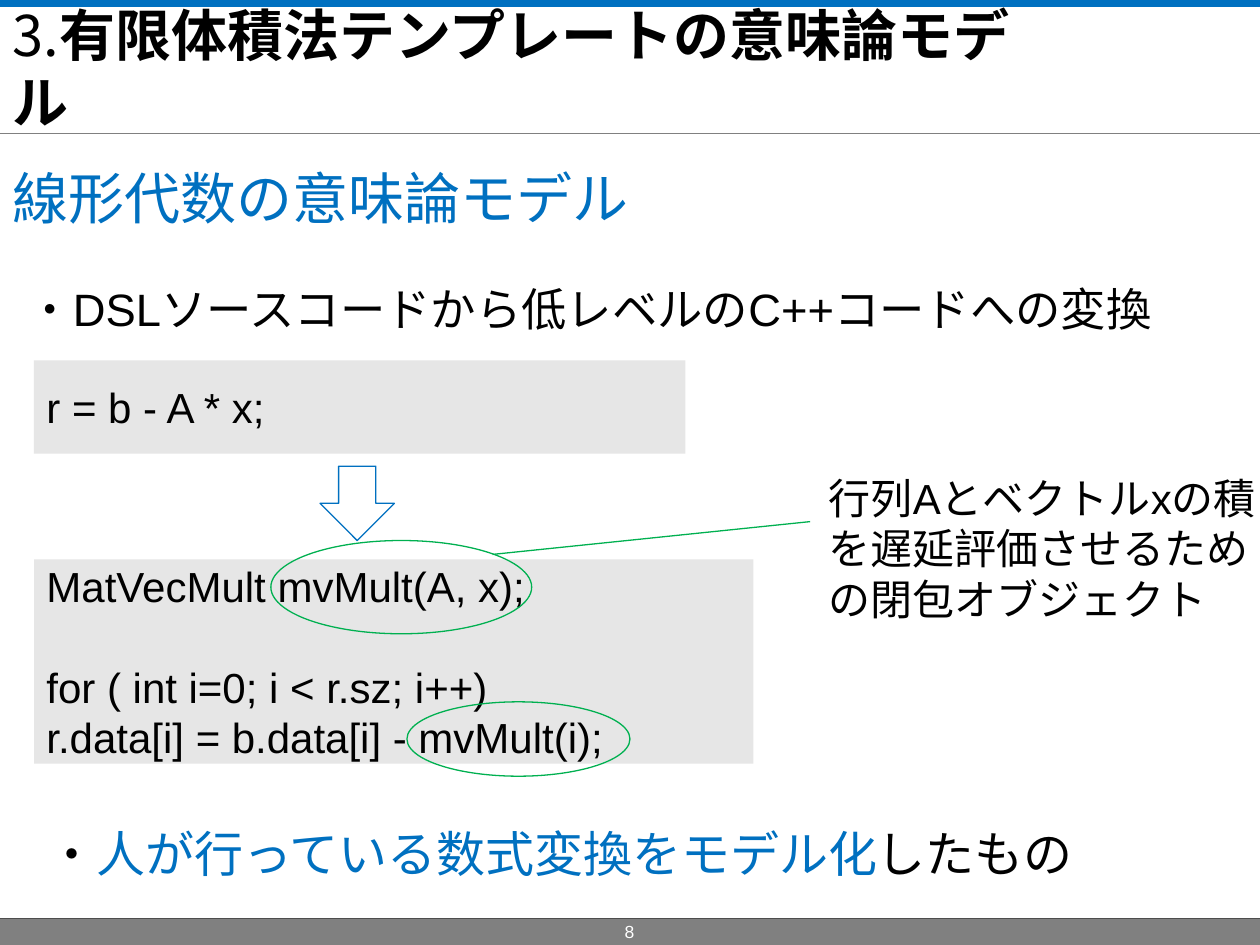
from lxml import etree
from pptx import Presentation, util as u
from pptx.dml.color import RGBColor
from pptx.enum import shapes, text
from pptx.oxml.ns import qn

COLORS = {
    "black": "000000", "white": "FFFFFF", "blue": "0070C0", "green": "00B050",
    "code": "E6E6E6", "footer": "808080", "edge": "4D4D4D", "shadow": "C0C0C0",
}
LATIN, JAPANESE = "Arial", "Noto Sans CJK JP"

BARS = [
    ((0, 7.29, 10, 0.21), "footer", None, 0),
    ((0, 0.01, 10, 0.03), "blue", "blue", 2),
]
RULES = [
    ((0, 7.29, 10, 7.29), "edge", 0.5),
    ((0, 1.06, 10, 1.06), "footer", 0.5),
]
TITLE = ((0, 0, 8.39, 1.07), "3.", "有限体積法テンプレートの意味論モデル")
TEXTS = [
    ((0.12, 2.18, 9.76, 0.65), 25.9, 7,
     [("・DSLソースコードから低レベルのC++コードへの変換", "black")]),
    ((0, 1.25, 9.76, 0.72), 32, 8, [("線形代数の意味論モデル", "blue")]),
    ((6.48, 3.7, 3.59, 1.3), 24, 0,
     [("行列Aとベクトルxの積を遅延評価させるための閉包オブジェクト", "black")]),
    ((0.28, 6.49, 9.76, 0.65), 28, 7,
     [("・", "black"), ("人が行っている数式変換をモデル化", "blue"), ("したもの", "black")]),
]
PAGE_NUMBER = ((4.6, 7.26, 0.79, 0.42), "8")
CODE = [
    ((0.27, 2.86, 5.17, 0.74), ["r = b - A * x;"]),
    ((0.27, 4.44, 5.71, 1.62), [
        "MatVecMult mvMult(A, x);",
        "",
        "for ( int i=0; i < r.sz; i++)",
        "r.data[i] = b.data[i] - mvMult(i);",
    ]),
]
ARROW = (2.54, 3.7, 0.59, 0.59)
RINGS = [(2.15, 4.29, 2.07, 0.74), (3.23, 5.57, 1.77, 0.59)]
CALLOUT = ((3.91, 4.4, 6.43, 4.14), "green", 0.75)


def rgb(name):
    return RGBColor.from_string(COLORS[name])


def add_shape(page, kind, place, fill=None, line=None, width=0.75):
    shape = page.shapes.add_shape(kind, *map(u.Inches, place))
    shape.shadow.inherit = False
    if fill:
        shape.fill.solid()
        shape.fill.fore_color.rgb = rgb(fill)
    else:
        shape.fill.background()
    if line:
        shape.line.color.rgb = rgb(line)
        shape.line.width = u.Pt(width)
    else:
        shape.line.fill.background()
    return shape


def add_line(page, ends, color, width):
    line = page.shapes.add_connector(shapes.MSO_CONNECTOR.STRAIGHT, *map(u.Inches, ends))
    line.line.color.rgb = rgb(color)
    line.line.width = u.Pt(width)
    etree.SubElement(line._element.spPr, qn("a:effectLst"))


def format_span(span, size, color, font=LATIN):
    span.font.size = u.Pt(size)
    span.font.color.rgb = rgb(color)
    span.font.name = font
    properties = span._r.get_or_add_rPr()
    etree.SubElement(properties, qn("a:ea")).set("typeface", JAPANESE)


def add_text(page, place, size, spans, before=0, font=LATIN):
    box = page.shapes.add_textbox(*map(u.Inches, place))
    box.text_frame.word_wrap = True
    para = box.text_frame.paragraphs[0]
    para.space_before = u.Pt(before)
    for words, color in spans:
        span = para.add_run()
        span.text = words
        format_span(span, size, color, font)
    return box


def add_text_shadow(span):
    fill = span._r.get_or_add_rPr().find(qn("a:solidFill"))
    effects = etree.Element(qn("a:effectLst"))
    shadow = etree.SubElement(effects, qn("a:outerShdw"), dist="38100", dir="2700000")
    etree.SubElement(shadow, qn("a:srgbClr"), val=COLORS["shadow"])
    fill.addnext(effects)


def add_code(page, place, lines):
    box = add_shape(page, shapes.MSO_SHAPE.RECTANGLE, place, "code")
    frame = box.text_frame
    frame.word_wrap = True
    frame.vertical_anchor = text.MSO_ANCHOR.MIDDLE
    para = frame.paragraphs[0]
    para.text = "\v".join(lines)
    para.alignment = text.PP_ALIGN.LEFT
    para.font.size = u.Pt(24)
    for line_break in para._p.findall(qn("a:br")):
        etree.SubElement(line_break, qn("a:rPr"), sz="2400")
    for span in para.runs:
        format_span(span, 24, "black")


def main():
    deck = Presentation()
    deck.slide_width, deck.slide_height = u.Inches(10), u.Inches(7.5)
    page = deck.slides.add_slide(deck.slide_layouts[6])

    for place, fill, line, width in BARS:
        add_shape(page, shapes.MSO_SHAPE.RECTANGLE, place, fill, line, width)
    for rule in RULES:
        add_line(page, *rule)

    place, number, heading = TITLE
    title = add_text(page, place, 32, [(number, "black"), (heading, "black")], font=JAPANESE)
    title.text_frame.vertical_anchor = text.MSO_ANCHOR.MIDDLE
    heading_span = title.text_frame.paragraphs[0].runs[1]
    heading_span.font.bold = True
    add_text_shadow(heading_span)

    for place, size, before, spans in TEXTS:
        add_text(page, place, size, spans, before)
    place, number = PAGE_NUMBER
    footer = add_text(page, place, 10, [(number, "white")])
    footer.text_frame.paragraphs[0].alignment = text.PP_ALIGN.CENTER

    for place, lines in CODE:
        add_code(page, place, lines)
    add_shape(page, shapes.MSO_SHAPE.DOWN_ARROW, ARROW, line="blue")
    for ring in RINGS:
        add_shape(page, shapes.MSO_SHAPE.OVAL, ring, line="green")
    add_line(page, *CALLOUT)
    deck.save("out.pptx")


if __name__ == "__main__":
    main()
